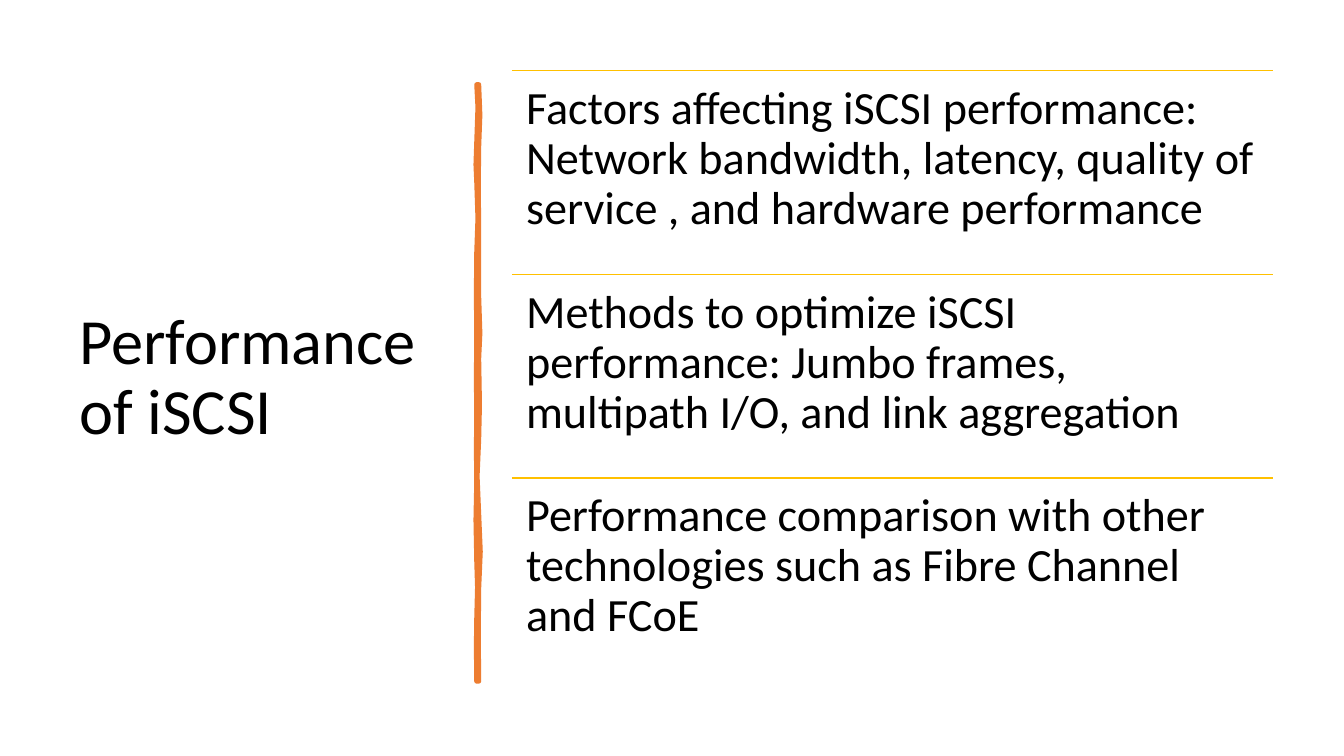
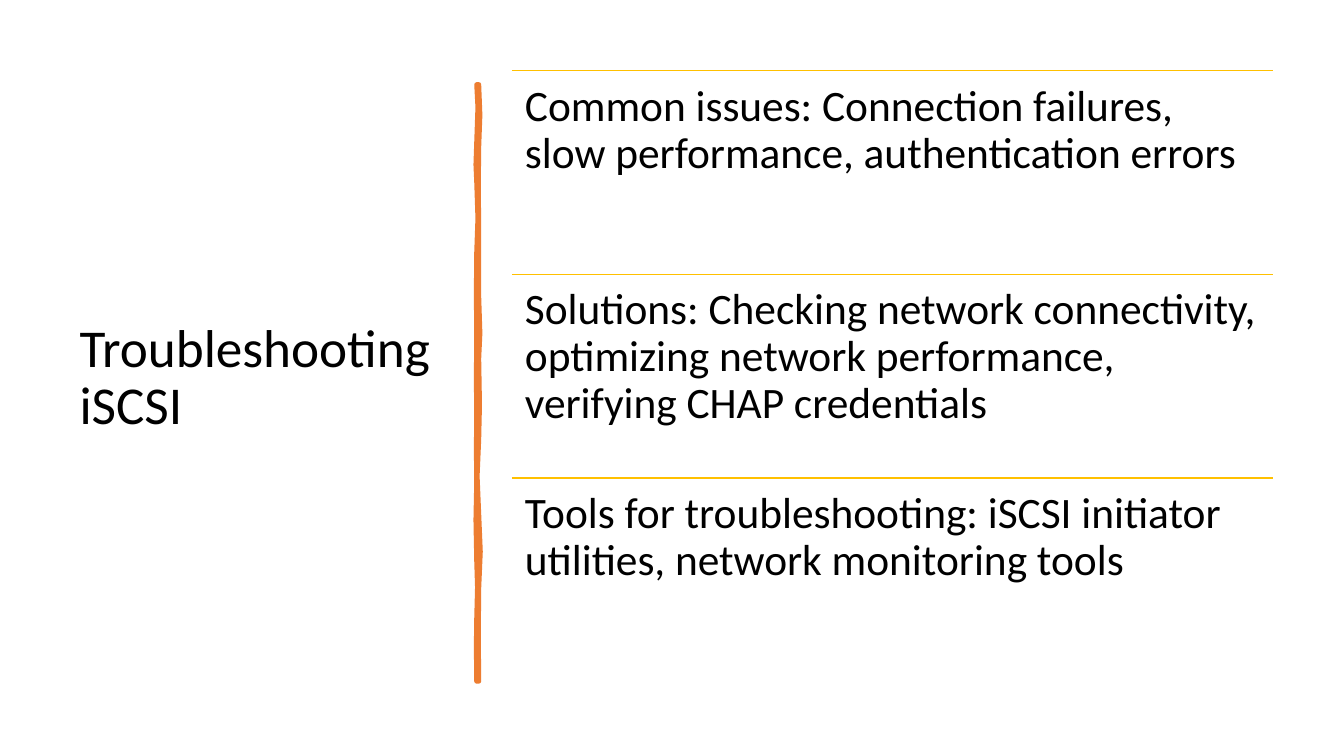
from lxml import etree
from pptx import Presentation
from pptx.dml.color import RGBColor
from pptx.enum.shapes import MSO_CONNECTOR as CONN
from pptx.enum.text import MSO_ANCHOR as ANCHOR, MSO_AUTO_SIZE as AUTO, PP_ALIGN as ALIGN
from pptx.oxml.ns import qn
from pptx.util import Cm, Pt

BLACK, ORANGE, GOLD = "000000", "ED7D31", "FFC000"
FONT = "Calibri"
TITLE_BOX = (1.75, 1.78, 9.5, 15.52)
LIST_LEFT, LIST_TOP, LIST_WIDTH, ROW_HEIGHT = 12.9, 1.78, 19.18, 5.13
STROKE = [
    (12.07, 2.13), (12.1, 2.9), (12.07, 3.71), (12.06, 4.7), (12.07, 5.74),
    (12.07, 7.47), (12.1, 8.4), (12.07, 9.04), (12.09, 10.2), (12.07, 11.07),
    (12.03, 12), (12.07, 12.95), (12.11, 13.9), (12.07, 14.83), (12.06, 16),
    (12.07, 17.17), (12.01, 17.17), (12, 16.3), (12.01, 15.57), (12.03, 14.8),
    (12.01, 14.15), (11.99, 13.1), (12.01, 12.12), (12, 11.3), (12.01, 10.54),
    (12, 9.5), (12.01, 8.51), (12, 7.4), (12.01, 6.35), (12.04, 5.5),
    (12.01, 4.6), (11.99, 4.15), (12.04, 2.7), (12.01, 2.13),
]
SLIDES = [
    {"title": "Performance of iSCSI", "title_size": 46, "size": 33, "inset": 0.36, "items": [
        "Factors affecting iSCSI performance: Network bandwidth, latency, quality of service , "
        "and hardware performance",
        "Methods to optimize iSCSI performance: Jumbo frames, multipath I/O, and link aggregation",
        "Performance comparison with other technologies such as Fibre Channel and FCoE"]},
    {"title": "Troubleshooting iSCSI", "title_size": 38, "size": 31, "inset": 0.33, "items": [
        "Common issues: Connection failures, slow performance, authentication errors",
        "Solutions: Checking network connectivity, optimizing network performance, "
        "verifying CHAP credentials",
        "Tools for troubleshooting: iSCSI initiator utilities, network monitoring tools"]},
]


def rgb(value):
    """Turn a hex string into a colour."""
    return RGBColor.from_string(value)


def apply(target, formats):
    """Set each attribute named in the dict of format values."""
    for name, value in formats.items():
        setattr(target, name, value)


def write(tf, text, size, anchor):
    """Fill a text frame with one left-aligned paragraph."""
    apply(tf, {"word_wrap": True, "auto_size": AUTO.NONE, "vertical_anchor": anchor})
    p = tf.paragraphs[0]
    apply(p, {"alignment": ALIGN.LEFT, "line_spacing": 0.9})
    r = p.add_run()
    r.text = text
    apply(r.font, {"name": FONT, "size": Pt(size)})
    r.font.color.rgb = rgb(BLACK)


def add_title(s, text, size):
    """Place and fill the title placeholder."""
    sp = s.shapes.title
    apply(sp, dict(zip(("left", "top", "width", "height"), map(Cm, TITLE_BOX))))
    write(sp.text_frame, text, size, ANCHOR.MIDDLE)


def add_brush_stroke(s):
    """Draw the uneven upright stroke beside the title."""
    points = [(Cm(x), Cm(y)) for x, y in STROKE]
    builder = s.shapes.build_freeform(*points[0])
    builder.add_line_segments(points[1:], close=True)
    sp = builder.convert_to_shape()
    sp.shadow.inherit = False
    sp.fill.solid()
    sp.fill.fore_color.rgb = rgb(ORANGE)
    sp.line.color.rgb = rgb(ORANGE)
    sp.line.width = Pt(3.25)
    etree.SubElement(sp.element.spPr.find(qn("a:ln")), qn("a:round"))


def add_rule(s, top):
    """Draw the thin line above a list item."""
    line = s.shapes.add_connector(
        CONN.STRAIGHT, Cm(LIST_LEFT), Cm(top), Cm(LIST_LEFT + LIST_WIDTH), Cm(top))
    line.line.color.rgb = rgb(GOLD)
    line.line.width = Pt(1)
    etree.SubElement(line.element.spPr, qn("a:effectLst"))


def add_item(s, top, text, size, inset):
    """Add the text box of a list item."""
    sp = s.shapes.add_textbox(Cm(LIST_LEFT), Cm(top), Cm(LIST_WIDTH), Cm(ROW_HEIGHT))
    tf = sp.text_frame
    sides = ("margin_left", "margin_top", "margin_right", "margin_bottom")
    apply(tf, dict.fromkeys(sides, Cm(inset)))
    write(tf, text, size, ANCHOR.TOP)


def add_list(s, items, size, inset):
    """Stack the ruled list items at equal heights."""
    for i, text in enumerate(items):
        top = LIST_TOP + i * ROW_HEIGHT
        add_rule(s, top)
        add_item(s, top, text, size, inset)


def main():
    """Build and save the presentation."""
    prs = Presentation()
    apply(prs, {"slide_width": Cm(33.87), "slide_height": Cm(19.05)})
    layout = prs.slide_layouts.get_by_name("Title Only")
    for content in SLIDES:
        s = prs.slides.add_slide(layout)
        add_title(s, content["title"], content["title_size"])
        add_brush_stroke(s)
        add_list(s, content["items"], content["size"], content["inset"])
    prs.save("out.pptx")


if __name__ == "__main__":
    main()
